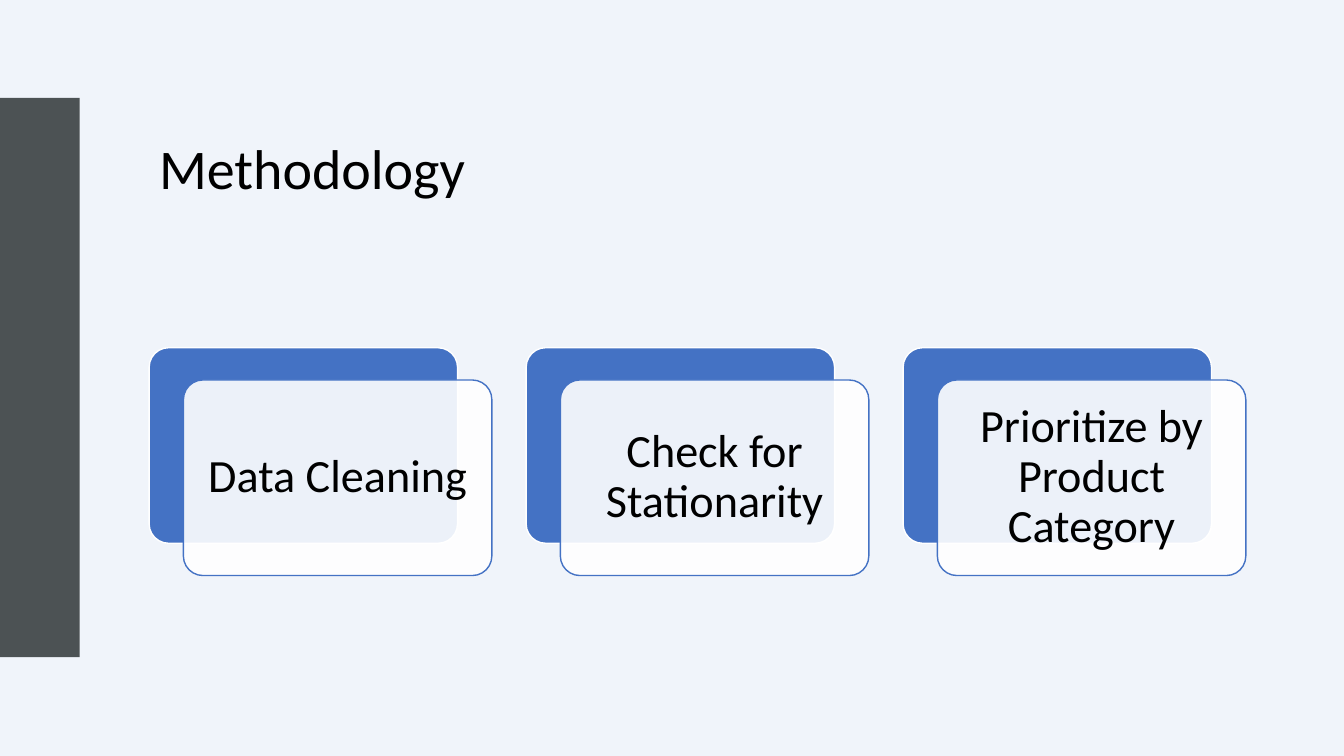
from dataclasses import dataclass

import pptx
import pptx.dml.color
import pptx.enum.shapes
import pptx.enum.text
import pptx.oxml.ns
import pptx.util
from lxml import etree

Pt = pptx.util.Pt
SHAPE = pptx.enum.shapes.MSO_SHAPE
ALIGN = pptx.enum.text.PP_ALIGN
ANCHOR = pptx.enum.text.MSO_ANCHOR


@dataclass(frozen=True)
class Theme:
    font: str = "Calibri"
    title_size: float = 40
    step_size: float = 33
    background: str = "F0F4FA"
    sidebar: str = "4C5254"
    accent: str = "4472C4"
    white: str = "FFFFFF"
    text: str = "000000"


THEME = Theme()
STEPS = ["Data Cleaning", "Check for Stationarity", "Prioritize by Product Category"]

# Step geometry, in points
STEP_LEFT, STEP_TOP, STEP_PITCH = 106.56, 248.4, 269.28
CARD_WIDTH, CARD_HEIGHT = 220.32, 139.68
CARD_SHIFT_X, CARD_SHIFT_Y = 24.48, 23.04


def rgb(color):
    return pptx.dml.color.RGBColor.from_string(color)


def write_text(frame, text, *, size, align=ALIGN.LEFT, inset_x=7.2, inset_y=3.6):
    frame.word_wrap = True
    frame.vertical_anchor = ANCHOR.MIDDLE
    frame.margin_left = frame.margin_right = Pt(inset_x)
    frame.margin_top = frame.margin_bottom = Pt(inset_y)
    paragraph = frame.paragraphs[0]
    paragraph.alignment = align
    paragraph.line_spacing = 0.9
    run = paragraph.add_run()
    run.text = text
    run.font.name = THEME.font
    run.font.size = Pt(size)
    run.font.color.rgb = rgb(THEME.text)


def add_block(shapes, kind, left, top, width, height, *, fill, line=None, opacity=100):
    block = shapes.add_shape(kind, Pt(left), Pt(top), Pt(width), Pt(height))
    block.shadow.inherit = False
    block.fill.solid()
    block.fill.fore_color.rgb = rgb(fill)
    if opacity < 100:
        color = block.fill._xPr.find(".//" + pptx.oxml.ns.qn("a:srgbClr"))
        etree.SubElement(color, pptx.oxml.ns.qn("a:alpha"), val=str(opacity * 1000))
    if line:
        block.line.color.rgb = rgb(line)
        block.line.width = Pt(1)
    else:
        block.line.fill.background()
    return block


def add_card(shapes, left, top, **colors):
    card = add_block(shapes, SHAPE.ROUNDED_RECTANGLE, left, top,
                     CARD_WIDTH, CARD_HEIGHT, **colors)
    card.adjustments[0] = 0.1
    return card


def add_step(shapes, left, label):
    add_card(shapes, left, STEP_TOP, fill=THEME.accent, line=THEME.white)
    front = add_card(shapes, left + CARD_SHIFT_X, STEP_TOP + CARD_SHIFT_Y,
                     fill=THEME.white, line=THEME.accent, opacity=90)
    write_text(front.text_frame, label, size=THEME.step_size,
               align=ALIGN.CENTER, inset_x=10, inset_y=10)


def main():
    deck = pptx.Presentation()
    deck.slide_width, deck.slide_height = Pt(960), Pt(540)
    slide = deck.slides.add_slide(deck.slide_layouts[6])
    slide.background.fill.solid()
    slide.background.fill.fore_color.rgb = rgb(THEME.background)

    # Title and sidebar
    title = slide.shapes.add_textbox(Pt(106.56), Pt(69.84), Pt(783.36), Pt(105.84))
    write_text(title.text_frame, "Methodology", size=THEME.title_size)
    add_block(slide.shapes, SHAPE.RECTANGLE, 0, 69.84, 56.88, 399.6, fill=THEME.sidebar)

    # Methodology steps
    steps = slide.shapes.add_group_shape()
    for index, label in enumerate(STEPS):
        add_step(steps.shapes, STEP_LEFT + index * STEP_PITCH, label)

    deck.save("out.pptx")


if __name__ == "__main__":
    main()
